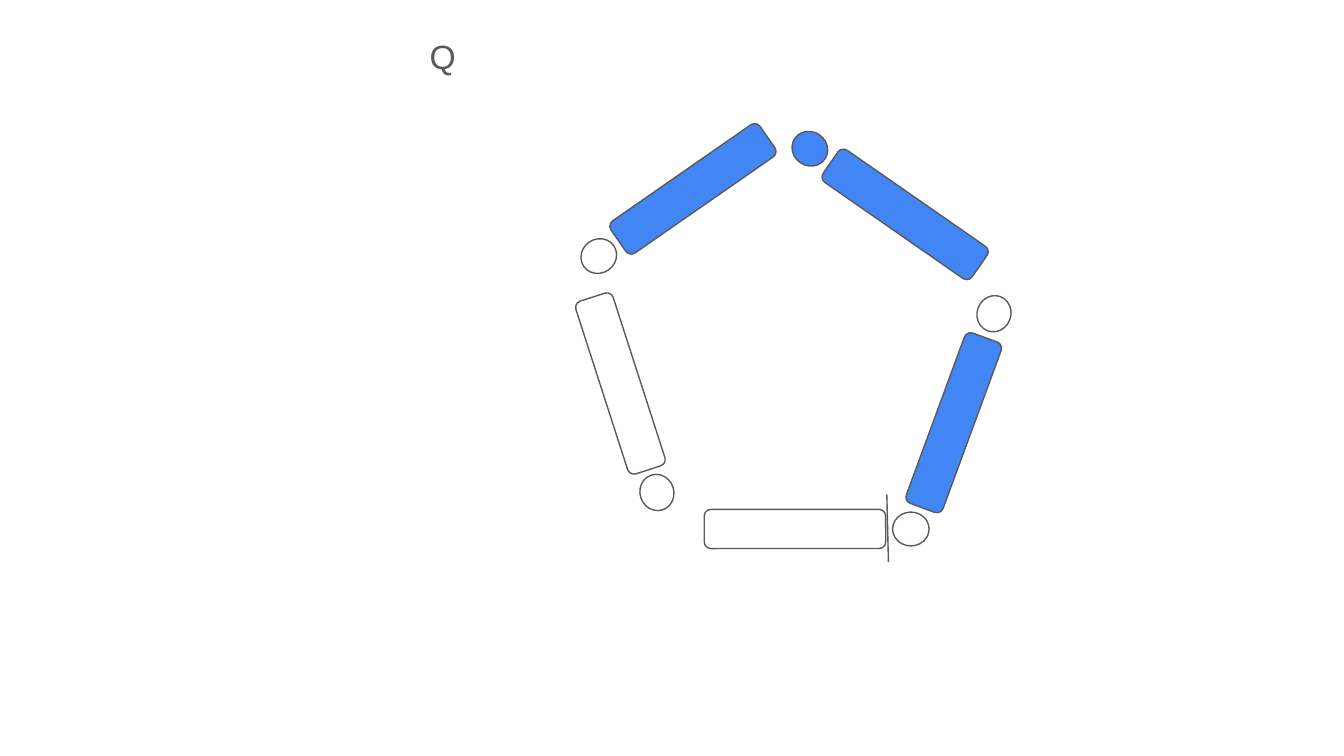
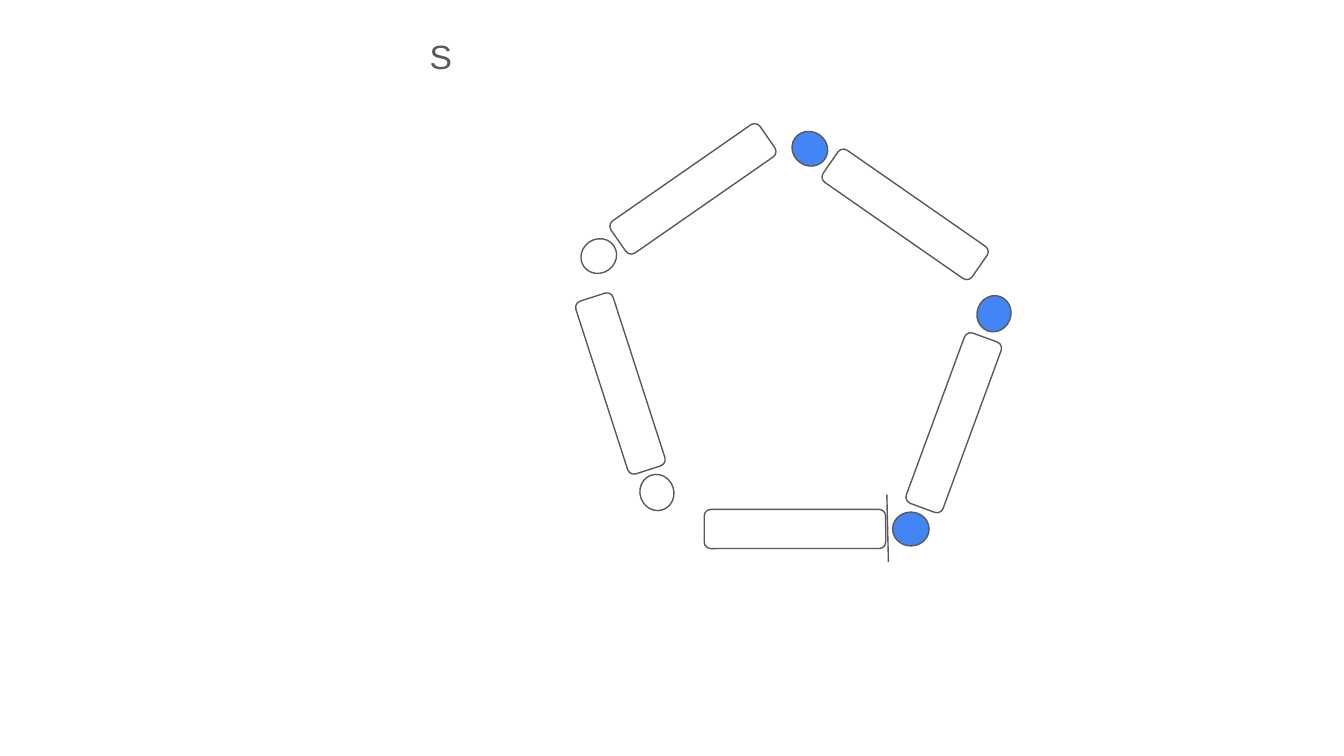
from pptx import Presentation
from pptx.dml.color import RGBColor
from pptx.enum.shapes import MSO_CONNECTOR, MSO_SHAPE
from pptx.enum.text import MSO_ANCHOR, MSO_AUTO_SIZE, PP_ALIGN
from pptx.oxml.ns import qn
from pptx.util import Cm, Pt

BLUE, WHITE, GREY = "4285F4", "FFFFFF", "595959"
FONT = "Arial"
LINE_WIDTH = Pt(0.75)
BAR_SIZE = (3.43, 0.74)
DOT_SIZE = (0.69, 0.64)
TITLE_ONLY = 5

# Side of the pentagon: rotation, bar left/top, dot left/top (cm)
SIDES = {
    "bottom": (0, (13.31, 9.63), (16.87, 9.68)),
    "right": (290.2, (16.31, 7.62), (18.44, 5.61)),
    "upper right": (214.8, (15.39, 3.68), (14.96, 2.49)),
    "left": (72.1, (10.01, 6.88), (12.07, 8.99)),
    "upper left": (145.2, (11.38, 3.2), (10.97, 4.52)),
}

# Slide title, sides with a blue bar, sides with a blue dot
STATES = [
    ("Q", {"right", "upper right", "upper left"}, {"upper right"}),
    ("S", set(), {"bottom", "right", "upper right"}),
]


def color(hex_string):
    return RGBColor.from_string(hex_string)


def add_outlined(slide, kind, pos, size, rotation, fill):
    sp = slide.shapes.add_shape(kind, *map(Cm, pos + size))
    sp.rotation = rotation
    sp.shadow.inherit = False
    sp.fill.solid()
    sp.fill.fore_color.rgb = color(fill)
    sp.line.color.rgb = color(GREY)
    sp.line.width = LINE_WIDTH
    return sp


def add_line(slide, start, end):
    line = slide.shapes.add_connector(MSO_CONNECTOR.STRAIGHT, *map(Cm, start + end))
    line.line.color.rgb = color(GREY)
    line.line.width = LINE_WIDTH
    sp_pr = line._element.spPr
    sp_pr.append(sp_pr.makeelement(qn("a:effectLst"), {}))


def write(tf, text, size=18, fill=GREY, align=PP_ALIGN.LEFT):
    p = tf.paragraphs[0]
    p.alignment = align
    r = p.add_run()
    r.text = text
    r.font.name = FONT
    r.font.size = Pt(size)
    r.font.color.rgb = color(fill)


def set_title(slide, text):
    title = slide.shapes.title
    title.left, title.top, title.width, title.height = map(Cm, (7.87, 0.43, 10.16, 1.27))
    tf = title.text_frame
    tf.word_wrap = True
    tf.auto_size = MSO_AUTO_SIZE.SHAPE_TO_FIT_TEXT
    tf.vertical_anchor = MSO_ANCHOR.TOP
    tf.margin_left = tf.margin_top = tf.margin_right = tf.margin_bottom = Cm(0.25)
    write(tf, text)


def add_pentagon(slide, blue_bars, blue_dots):
    for side, (rotation, bar_pos, dot_pos) in SIDES.items():
        bar_fill = BLUE if side in blue_bars else WHITE
        dot_fill = BLUE if side in blue_dots else WHITE
        add_outlined(slide, MSO_SHAPE.ROUNDED_RECTANGLE, bar_pos, BAR_SIZE, rotation, bar_fill)
        add_outlined(slide, MSO_SHAPE.OVAL, dot_pos, DOT_SIZE, rotation, dot_fill)
    add_line(slide, (16.76, 9.35), (16.79, 10.62))


def main():
    prs = Presentation()
    prs.slide_width, prs.slide_height = Cm(25.4), Cm(14.29)
    for title, blue_bars, blue_dots in STATES:
        slide = prs.slides.add_slide(prs.slide_layouts[TITLE_ONLY])
        set_title(slide, title)
        add_pentagon(slide, blue_bars, blue_dots)
    prs.save("out.pptx")


if __name__ == "__main__":
    main()
